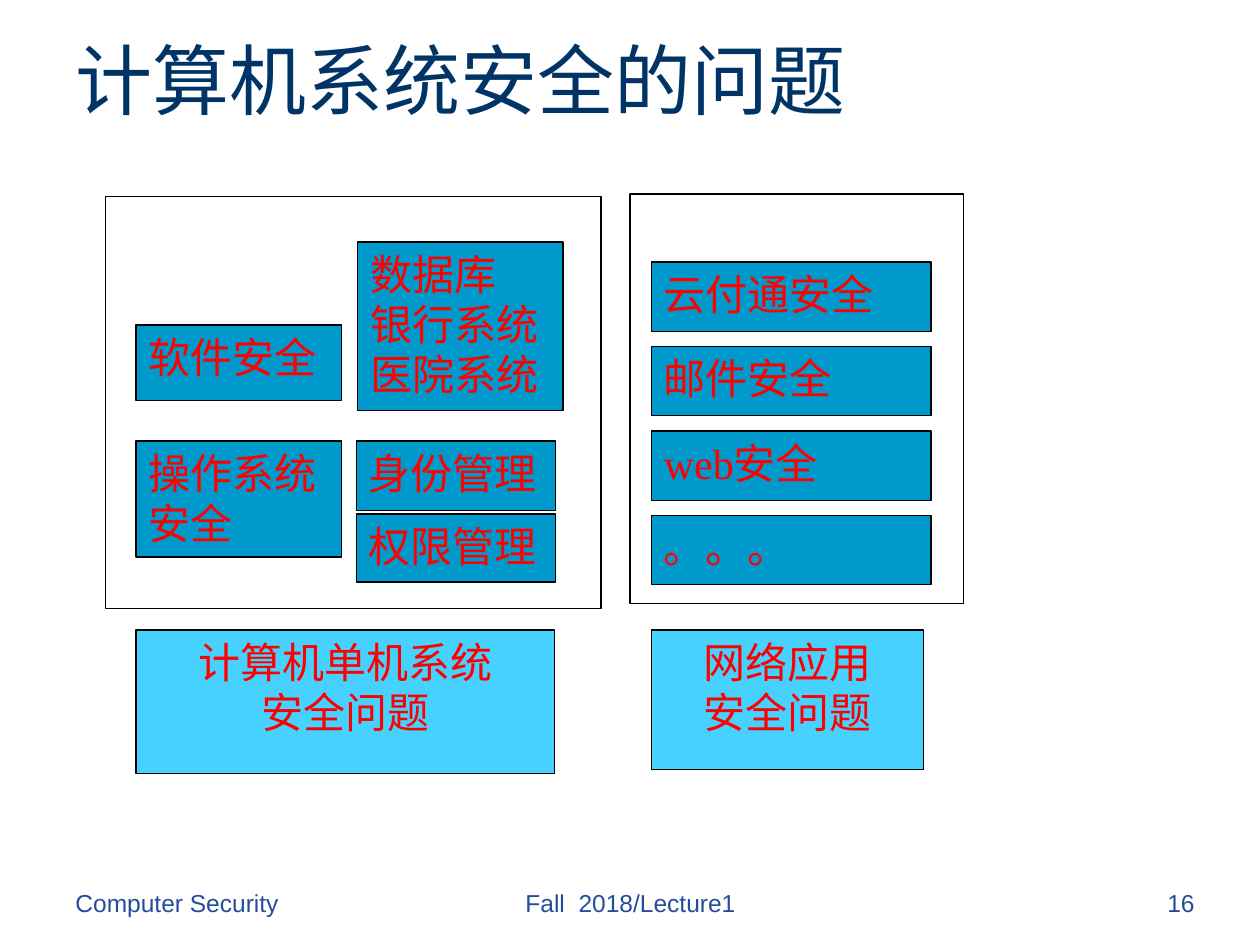
from pptx import Presentation
from pptx.dml.color import RGBColor
from pptx.enum.shapes import MSO_SHAPE
from pptx.enum.text import MSO_ANCHOR, MSO_AUTO_SIZE, PP_ALIGN
from pptx.util import Inches, Pt

NAVY = RGBColor(0x00, 0x33, 0x66)
FOOTER_BLUE = RGBColor(0x25, 0x4C, 0x9C)
TEAL = RGBColor(0x00, 0x99, 0xCC)
SKY = RGBColor(0x47, 0xD1, 0xFF)
RED = RGBColor(0xFF, 0x00, 0x00)
BLACK = RGBColor(0x00, 0x00, 0x00)
SERIF, SANS = "Times New Roman", "Arial"

TITLE = "计算机系统安全的问题"
FRAMES = [(0.84, 1.56, 3.93, 3.27), (5, 1.54, 2.65, 3.25)]
HOST_TOPICS = [
    ("软件安全", 1.08, 2.58, 1.63, 0.6),
    ("数据库\n银行系统\n医院系统", 2.84, 1.92, 1.63, 1.34),
    ("操作系统\n安全", 1.08, 3.5, 1.63, 0.92),
    ("身份管理", 2.83, 3.5, 1.58, 0.55),
    ("权限管理", 2.83, 4.08, 1.58, 0.54),
]
NETWORK_TOPICS = ["云付通安全", "邮件安全", "web安全", "。。。"]
NETWORK_LEFT, NETWORK_TOP, NETWORK_STEP = 5.17, 2.08, 0.67
CAPTIONS = [
    ("计算机单机系统\n安全问题", 1.08, 5, 3.32, 1.14),
    ("网络应用\n安全问题", 5.17, 5, 2.16, 1.11),
]
FOOTERS = [
    ("Computer Security", 0.5, 2.08, PP_ALIGN.LEFT),
    ("Fall  2018/Lecture1", 3.42, 3.17, PP_ALIGN.CENTER),
    ("16", 7.5, 2.08, PP_ALIGN.RIGHT),
]

deck = Presentation()
deck.slide_width, deck.slide_height = Inches(10), Inches(7.5)
slide = deck.slides.add_slide(deck.slide_layouts[5])


def write(frame, text, size, font, color, align=PP_ALIGN.LEFT, anchor=MSO_ANCHOR.TOP):
    frame.text = text
    frame.word_wrap = True
    frame.auto_size = MSO_AUTO_SIZE.NONE
    frame.vertical_anchor = anchor
    for paragraph in frame.paragraphs:
        paragraph.alignment = align
        for run in paragraph.runs:
            run.font.size = Pt(size)
            run.font.name = font
            run.font.color.rgb = color


def add_box(left, top, width, height, fill=None, text="", align=PP_ALIGN.LEFT):
    box = slide.shapes.add_shape(
        MSO_SHAPE.RECTANGLE, Inches(left), Inches(top), Inches(width), Inches(height))
    box.shadow.inherit = False
    box.line.color.rgb = BLACK
    box.line.width = Pt(0.74)
    if fill is None:
        box.fill.background()
    else:
        box.fill.solid()
        box.fill.fore_color.rgb = fill
        write(box.text_frame, text, 24, SERIF, RED, align)


title = slide.shapes.title
title.left, title.top = Inches(0.5), Inches(0)
title.width, title.height = Inches(9), Inches(1.25)
write(title.text_frame, TITLE, 44, SERIF, NAVY, anchor=MSO_ANCHOR.MIDDLE)

for frame in FRAMES:
    add_box(*frame)
for topic, *place in HOST_TOPICS:
    add_box(*place, TEAL, topic)
for row, topic in enumerate(NETWORK_TOPICS):
    add_box(NETWORK_LEFT, NETWORK_TOP + row * NETWORK_STEP, 2.22, 0.55, TEAL, topic)
for caption, *place in CAPTIONS:
    add_box(*place, SKY, caption, PP_ALIGN.CENTER)

for words, left, width, align in FOOTERS:
    footer = slide.shapes.add_textbox(Inches(left), Inches(7), Inches(width), Inches(0.5))
    write(footer.text_frame, words, 14, SANS, FOOTER_BLUE, align)

deck.save("out.pptx")
